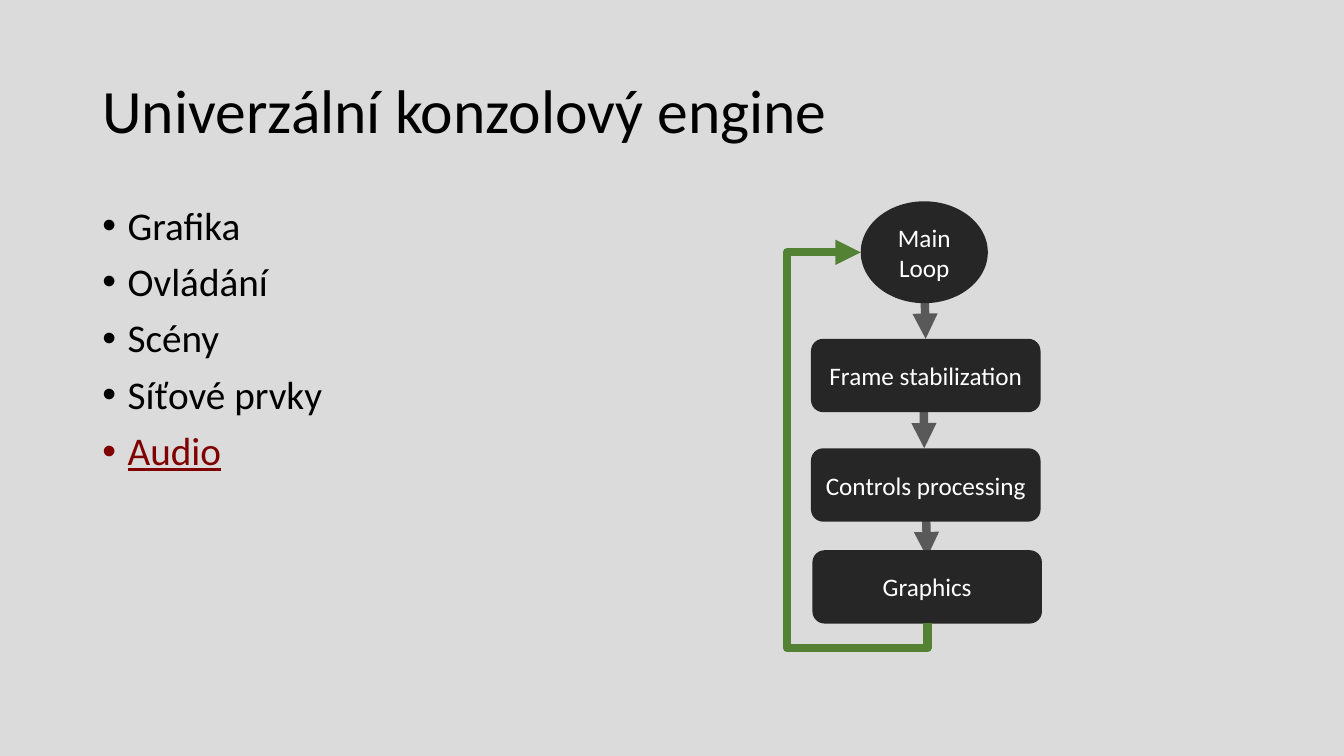
import pptx
import pptx.util
import pptx.dml.color
import pptx.enum.shapes
import pptx.enum.text
import pptx.oxml.ns
import pptx.oxml.xmlchemy

Pt = pptx.util.Pt
qn = pptx.oxml.ns.qn
Node = pptx.oxml.xmlchemy.OxmlElement
Shape = pptx.enum.shapes.MSO_SHAPE
Link = pptx.enum.shapes.MSO_CONNECTOR
Align = pptx.enum.text.PP_ALIGN
Anchor = pptx.enum.text.MSO_ANCHOR
color = pptx.dml.color.RGBColor.from_string


def style(font, size, shade):
    font.name = "Calibri"
    font.size = Pt(size)
    font.color.rgb = color(shade)


def arrow(kind, start, end, shade):
    """Add a thick connector with an arrowhead at its end, without shadow."""
    link = slide.shapes.add_connector(kind, *map(Pt, start + end))
    link.line.width = Pt(6)
    link.line.color.rgb = color(shade)
    props = link.element.spPr
    head = Node("a:tailEnd")
    head.set("type", "triangle")
    props.find(qn("a:ln")).append(head)
    props.append(Node("a:effectLst"))
    return link


deck = pptx.Presentation()
deck.slide_width, deck.slide_height = Pt(960), Pt(540)
slide = deck.slides.add_slide(deck.slide_layouts[1])
back = slide.background.fill
back.solid()
back.fore_color.rgb = color("DBDBDB")

# Title and list
title, body = slide.placeholders
for holder, top, height in ((title, 28.75, 104.38), (body, 143.75, 342.63)):
    holder.left, holder.top = Pt(66), Pt(top)
    holder.width, holder.height = Pt(828), Pt(height)
    holder.text_frame.auto_size = pptx.enum.text.MSO_AUTO_SIZE.NONE

title.text_frame.text = "Univerzální konzolový engine"
title.text_frame.vertical_anchor = Anchor.MIDDLE
line = title.text_frame.paragraphs[0]
line.alignment = Align.LEFT
line.line_spacing = 0.9
style(line.runs[0].font, 44, "000000")

topics = ["Grafika", "Ovládání", "Scény", "Síťové prvky", "Audio"]
body.text_frame.text = "\n".join(topics)
for item in body.text_frame.paragraphs:
    item.line_spacing = 0.9
    item.space_before = Pt(10)
    indent = item._p.get_or_add_pPr()
    indent.set("marL", str(Pt(18)))
    indent.set("indent", str(-Pt(18)))
    font = item.runs[0].font
    last = item.text == "Audio"
    style(font, 28, "800000" if last else "000000")
    if last:
        font.underline = True

# Arrows between the steps, behind the boxes
for start, end in (
    ((660.2, 198), (661.2, 242)),
    ((659.7, 276), (660.2, 320.2)),
    ((661.2, 353.7), (662.2, 398)),
):
    arrow(Link.STRAIGHT, start, end, "595959")

# Steps of the loop
steps = (
    ("Main Loop", Shape.OVAL, 614.8, 143.8, 90.8, 72.8),
    ("Frame stabilization", Shape.ROUNDED_RECTANGLE, 579.3, 242, 164, 52.4),
    ("Controls processing", Shape.ROUNDED_RECTANGLE, 579.3, 320.2, 164, 52.4),
    ("Graphics", Shape.ROUNDED_RECTANGLE, 580.3, 393, 164, 52.4),
)
for name, kind, *place in steps:
    step = slide.shapes.add_shape(kind, *map(Pt, place))
    step.shadow.inherit = False
    step.fill.solid()
    step.fill.fore_color.rgb = color("262626")
    step.line.fill.background()
    step.text_frame.text = name
    step.text_frame.vertical_anchor = Anchor.MIDDLE
    label = step.text_frame.paragraphs[0]
    label.alignment = Align.CENTER
    style(label.runs[0].font, 18, "FFFFFF")

# Way back from Graphics to Main Loop: a four-part elbow, turned by 90 degrees
loop = arrow(Link.ELBOW, (771.1, 288.9), (506.1, 336.5), "548235")
props = loop.element.spPr
props.find(qn("a:xfrm")).set("rot", "5400000")
shape = props.find(qn("a:prstGeom"))
shape.set("prst", "bentConnector4")
bends = shape.find(qn("a:avLst"))
if bends is None:
    bends = Node("a:avLst")
    shape.append(bends)
for name, value in (("adj1", -6700), ("adj2", 210200)):
    bend = Node("a:gd")
    bend.set("name", name)
    bend.set("fmla", f"val {value}")
    bends.append(bend)

deck.save("out.pptx")
